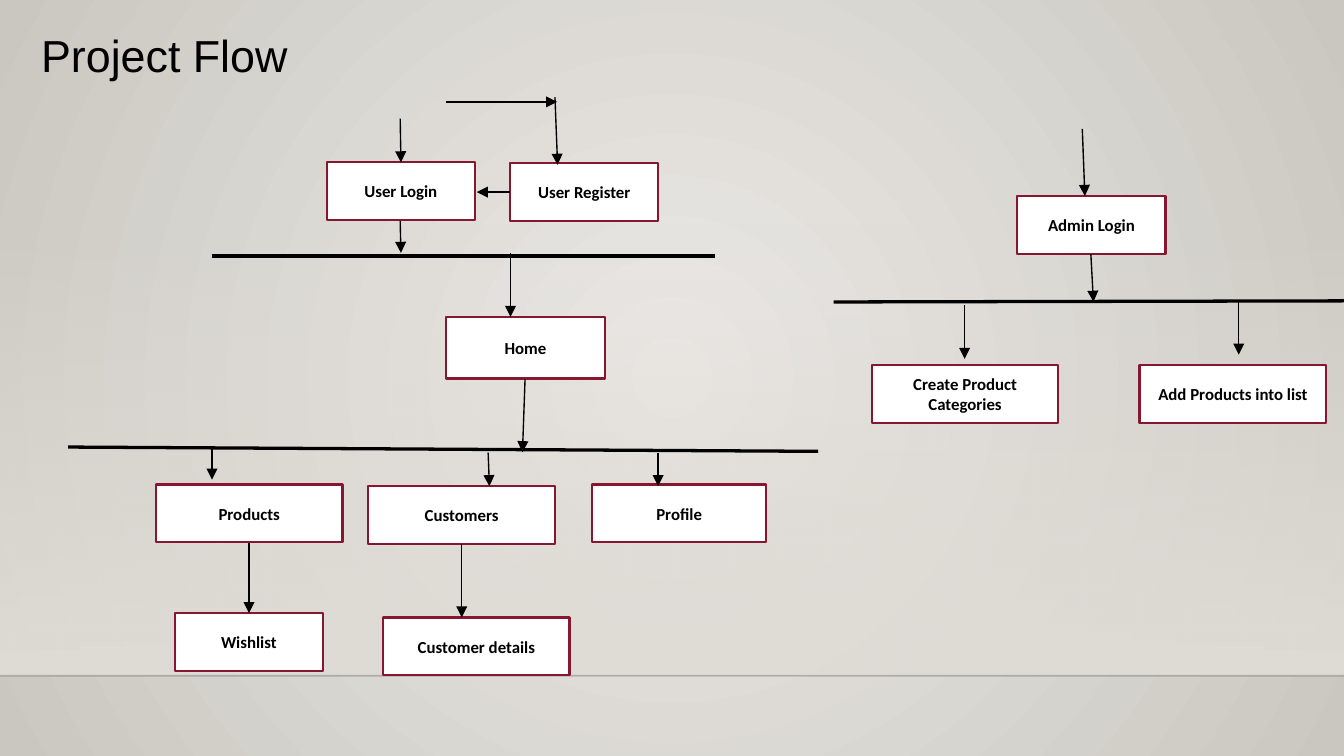
import dataclasses

import pptx
import pptx.dml.color
import pptx.enum.shapes
import pptx.enum.text
import pptx.oxml
import pptx.oxml.ns
import pptx.util

Pt = pptx.util.Pt
qn = pptx.oxml.ns.qn


@dataclasses.dataclass(frozen=True)
class Theme:
    """Holds the colours, fonts and sizes."""

    ink: str = "000000"
    paper: str = "FFFFFF"
    edge: str = "871631"
    glow: str = "ECEAE7"
    rim: str = "CAC7C1"
    floor: str = "DFDBD5"
    head: str = "Arial"
    body: str = "Calibri"
    large: float = 24
    small: float = 9
    thin: float = 0.75
    frame: float = 1.25


def rgb(code):
    return pptx.dml.color.RGBColor.from_string(code)


def add(node, tag, **attrs):
    space = pptx.oxml.ns.nsdecls("a")
    item = pptx.oxml.parse_xml(f"<a:{tag} {space}/>")
    for key, value in attrs.items():
        item.set(key, str(value))
    node.append(item)
    return item


class Chart:
    """Draws the parts of a flow chart on one slide in one style."""

    def __init__(self, slide, theme):
        self.slide = slide
        self.theme = theme

    def blend(self, fill, first, last):
        fill.gradient()
        for stop, code in zip(fill.gradient_stops, (first, last)):
            stop.color.rgb = rgb(code)

    def fade(self, node, share):
        add(node, "alpha", val=share * 1000)

    def ground(self):
        self.blend(self.slide.background.fill, self.theme.glow, self.theme.rim)
        grad = next(self.slide.element.iter(qn("a:gradFill")))
        grad.remove(grad.find(qn("a:lin")))
        ring = add(grad, "path", path="circle")
        add(ring, "fillToRect", l=50000, t=50000, r=50000, b=50000)

    def shape(self, left, top, width, height):
        kind = pptx.enum.shapes.MSO_SHAPE.RECTANGLE
        rect = self.slide.shapes.add_shape(
            kind, Pt(left), Pt(top), Pt(width), Pt(height))
        rect.shadow.inherit = False
        return rect

    def floor(self, top, base, width):
        band = self.shape(0, top, width, base - top)
        band.line.fill.background()
        self.blend(band.fill, self.theme.floor, self.theme.floor)
        grad = next(band.element.iter(qn("a:gradFill")))
        grad.find(qn("a:lin")).set("ang", "5400000")
        self.fade(next(grad.iter(qn("a:srgbClr"))), 0)
        rule = self.line(0, base, width, base, 1)
        self.fade(next(rule.element.spPr.iter(qn("a:srgbClr"))), 20)

    def label(self, frame, text, font, size, bold, align):
        para = frame.paragraphs[0]
        para.alignment = align
        run = para.add_run()
        run.text = text
        run.font.name = font
        run.font.size = Pt(size)
        run.font.bold = bold
        run.font.color.rgb = rgb(self.theme.ink)

    def title(self, text, left, top, width, height):
        box = self.slide.shapes.title
        box.left, box.top = Pt(left), Pt(top)
        box.width, box.height = Pt(width), Pt(height)
        frame = box.text_frame
        frame.word_wrap = False
        frame.margin_left = Pt(14)
        frame.vertical_anchor = pptx.enum.text.MSO_ANCHOR.MIDDLE
        self.label(frame, text, self.theme.head, self.theme.large, False,
                   pptx.enum.text.PP_ALIGN.LEFT)

    def box(self, text, left, top, width, height=31):
        rect = self.shape(left, top, width, height)
        rect.fill.solid()
        rect.fill.fore_color.rgb = rgb(self.theme.paper)
        rect.line.color.rgb = rgb(self.theme.edge)
        rect.line.width = Pt(self.theme.frame)
        frame = rect.text_frame
        frame.word_wrap = True
        frame.vertical_anchor = pptx.enum.text.MSO_ANCHOR.MIDDLE
        self.label(frame, text, self.theme.body, self.theme.small, True,
                   pptx.enum.text.PP_ALIGN.CENTER)

    def line(self, left, top, right, base, width):
        kind = pptx.enum.shapes.MSO_CONNECTOR.STRAIGHT
        link = self.slide.shapes.add_connector(
            kind, Pt(left), Pt(top), Pt(right), Pt(base))
        link.line.color.rgb = rgb(self.theme.ink)
        link.line.width = Pt(width)
        add(link.element.spPr, "effectLst")
        return link

    def arrow(self, left, top, right, base):
        link = self.line(left, top, right, base, self.theme.thin)
        add(link.element.spPr.find(qn("a:ln")), "tailEnd", type="triangle")


def main():
    deck = pptx.Presentation()
    deck.slide_width, deck.slide_height = Pt(720), Pt(405)
    chart = Chart(deck.slides.add_slide(deck.slide_layouts[5]), Theme())
    chart.ground()
    chart.floor(119.5, 362, 720)
    chart.title("Project Flow", 8, 11, 157, 36)

    short, wide = 79.4, 100
    boxes = [
        ("User Login", 175, 87, short),
        ("User Register", 273.3, 87.3, short),
        ("Home", 239, 169.8, 85, 33),
        ("Products", 83.5, 259.5, wide),
        ("Customers", 197.3, 260.5, wide),
        ("Profile", 317.3, 259.5, 93),
        ("Wishlist", 93.6, 328.5, short),
        ("Customer details", 205.2, 330.8, wide),
        ("Admin Login", 545, 105, short),
        ("Create Product Categories", 467, 195.6, wide),
        ("Add Products into list", 610.5, 195.6, wide),
    ]
    for item in boxes:
        chart.box(*item)

    bars = [
        (113.8, 137.2, 383, 137.2, 2),
        (36.5, 239.5, 438.3, 241.8, 1.75),
        (446.6, 161.8, 720, 161.2, 1.75),
    ]
    for item in bars:
        chart.line(*item)

    arrows = [
        (239, 54.6, 298.5, 54.6),
        (297.3, 52, 298.7, 88.3),
        (214.4, 63.5, 214.8, 87),
        (273.3, 102.9, 255.4, 102.9),
        (214.4, 118.3, 214.8, 135.5),
        (273.5, 135.5, 273.5, 169.8),
        (281.3, 203, 279.9, 242.3),
        (113.6, 240.5, 113.6, 257),
        (261.5, 242.5, 262.2, 260.5),
        (352.6, 242.7, 352.6, 260.5),
        (133.4, 291, 133.4, 328.5),
        (247.4, 291.5, 247.4, 330.8),
        (579.8, 69, 581.2, 105),
        (584.4, 136.2, 585.8, 161.7),
        (516.8, 163.5, 516.8, 192.3),
        (663.6, 162, 663.6, 190),
    ]
    for item in arrows:
        chart.arrow(*item)
    deck.save("out.pptx")


if __name__ == "__main__":
    main()
